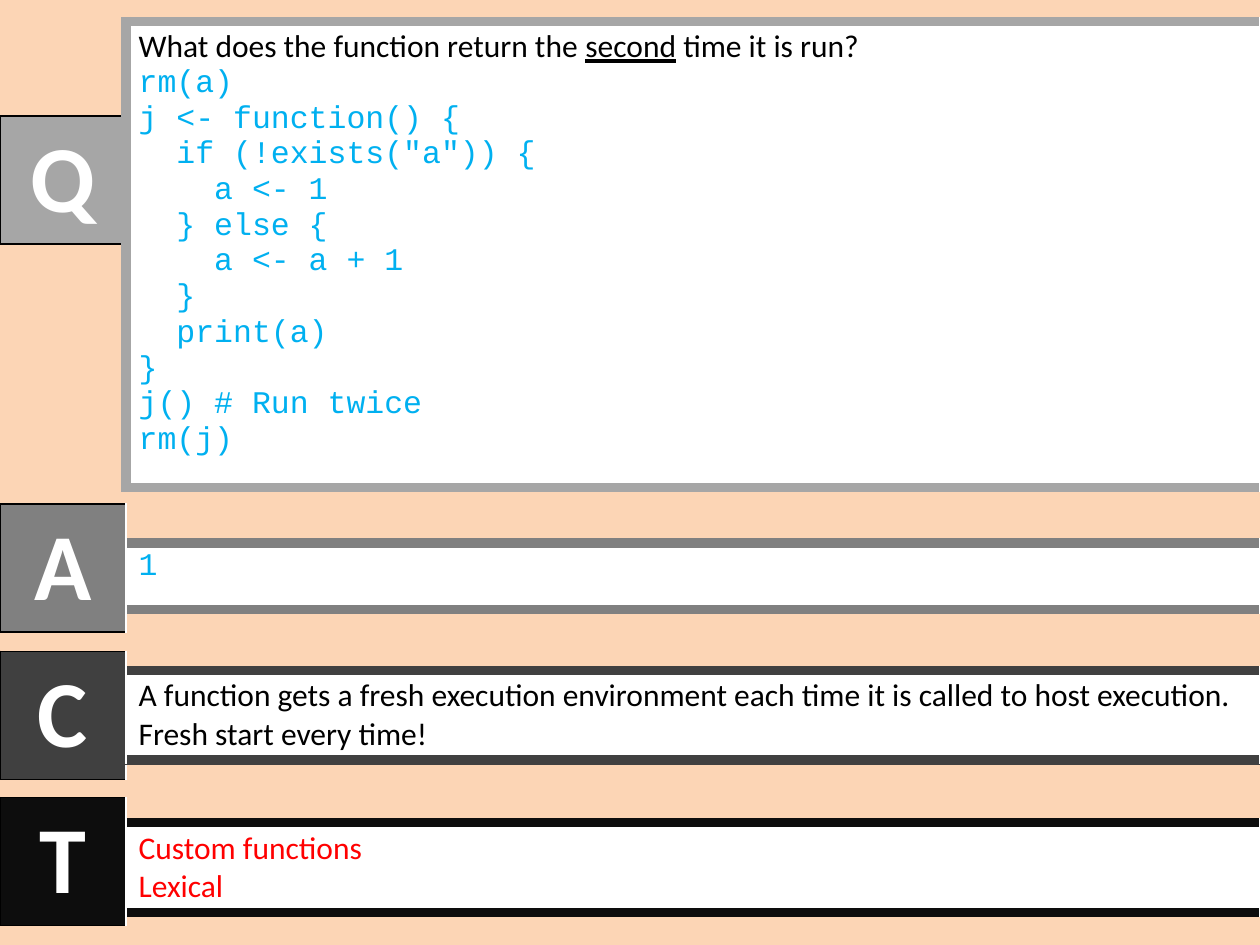
import dataclasses
import pptx
import pptx.util
import pptx.dml.color
import pptx.enum.text
import pptx.oxml

Inches = pptx.util.Inches
Pt = pptx.util.Pt
RGB = pptx.dml.color.RGBColor.from_string


@dataclasses.dataclass
class Theme:
    back: str = "FCD5B5"
    white: str = "FFFFFF"
    black: str = "000000"
    code: str = "00B0F0"
    topic: str = "FF0000"
    quest: str = "A6A6A6"
    answer: str = "808080"
    clue: str = "404040"
    tag: str = "0D0D0D"
    sans: str = "Calibri"
    mono: str = "Courier New"
    big: int = 54
    body: int = 18
    thin: int = 1
    thick: int = 6


def put(par, text, font, size, color, bold=False, under=False):
    run = par.add_run()
    run.text = text
    run.font.name = font
    run.font.size = Pt(size)
    run.font.color.rgb = RGB(color)
    run.font.bold = bold
    run.font.underline = under


class Deck:
    def __init__(self, theme):
        self.theme = theme
        self.show = pptx.Presentation()
        self.show.slide_width = Inches(10)
        self.show.slide_height = Inches(7.5)
        self.slide = self.show.slides.add_slide(self.show.slide_layouts[6])
        fill = self.slide.background.fill
        fill.solid()
        fill.fore_color.rgb = RGB(theme.back)

    def edge(self, cell, side, color, width):
        name = f"a:ln{side}"
        space = pptx.oxml.ns.nsdecls("a")
        line = pptx.oxml.parse_xml(
            f'<{name} {space} w="{Pt(width)}"><a:solidFill>'
            f'<a:srgbClr val="{color}"/></a:solidFill></{name}>')
        cell.fill.background()
        props = cell._tc.tcPr
        props.insert(len(props) - 1, line)

    def box(self, left, top, width, height, fill, edges):
        frame = self.slide.shapes.add_table(
            1, 1, Inches(left), Inches(top), Inches(width), Inches(height))
        table = frame.table
        table.first_row = False
        table.horz_banding = False
        cell = table.cell(0, 0)
        for side, (color, width) in zip("LRTB", edges):
            self.edge(cell, side, color, width)
        cell.fill.solid()
        cell.fill.fore_color.rgb = RGB(fill)
        return cell

    def tile(self, top, mark, color):
        look = self.theme
        dark = (look.black, look.thin)
        light = (look.white, look.thin)
        cell = self.box(0, top, 1, 1, color, (dark, light, dark, dark))
        cell.vertical_anchor = pptx.enum.text.MSO_ANCHOR.MIDDLE
        par = cell.text_frame.paragraphs[0]
        par.alignment = pptx.enum.text.PP_ALIGN.CENTER
        put(par, mark, look.sans, look.big, look.white, bold=True)

    def panel(self, top, height, color, lines, closed=False):
        look = self.theme
        bar = (color, look.thick)
        light = (look.white, look.thin)
        left = bar if closed else light
        cell = self.box(1, top, 9, height, look.white, (left, light, bar, bar))
        frame = cell.text_frame
        for num, line in enumerate(lines):
            par = frame.add_paragraph() if num else frame.paragraphs[0]
            for text, style in line:
                put(par, text, size=look.body, **style)

    def save(self):
        self.show.save("out.pptx")


CODE = """rm(a)
j <- function() {
  if (!exists("a")) {
    a <- 1
  } else {
    a <- a + 1
  }
  print(a)
}
j() # Run twice
rm(j)"""


def main():
    look = Theme()
    deck = Deck(look)
    plain = dict(font=look.sans, color=look.black)
    code = dict(font=look.mono, color=look.code)
    topic = dict(font=look.sans, color=look.topic)
    ask = [("What does the function return the ", plain),
           ("second", dict(plain, under=True)),
           (" time it is run?", plain)]
    quest = [ask] + [[(line, code)] for line in CODE.splitlines()]
    reason = ("A function gets a fresh execution environment each time "
              "it is called to host execution. Fresh start every time!")
    topics = [[(name, topic)] for name in ("Custom functions", "Lexical")]
    rows = [
        ("Q", look.quest, 0.92, 0.17, 3.7, quest),
        ("A", look.answer, 4, 4.31, 0.53, [[("1", code)]]),
        ("C", look.clue, 5.17, 5.32, 0.7, [[(reason, plain)]]),
        ("T", look.tag, 6.33, 6.53, 0.7, topics),
    ]
    for mark, color, high, top, height, lines in rows:
        deck.tile(high, mark, color)
        deck.panel(top, height, color, lines, closed=mark == "Q")
    deck.save()


if __name__ == "__main__":
    main()
